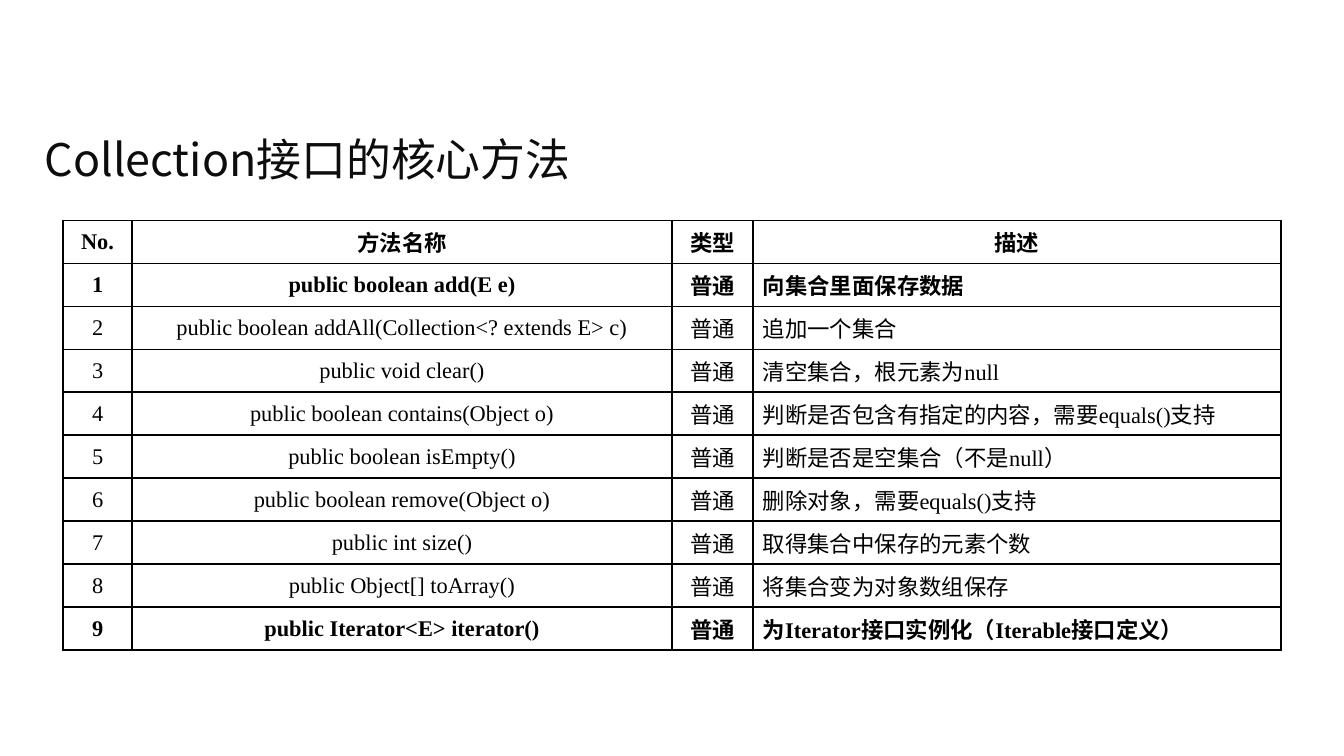
from lxml import etree
from pptx import Presentation
from pptx.dml.color import RGBColor
from pptx.enum.text import MSO_ANCHOR, PP_ALIGN
from pptx.oxml.ns import qn
from pptx.util import Pt

MIDDLE = MSO_ANCHOR.MIDDLE
CENTER = PP_ALIGN.CENTER
JUSTIFY = PP_ALIGN.JUSTIFY
CHINESE_FONT = "Noto Sans CJK SC"
BLACK = "000000"


def format_text(paragraph, size, font_name, color, bold=False):
    for run in paragraph.runs:
        run.font.size = Pt(size)
        run.font.name = font_name
        run.font.bold = bold
        run.font.color.rgb = RGBColor.from_string(color)
        etree.SubElement(run.font._element, qn("a:ea"), typeface=CHINESE_FONT)


def add_borders(cell, color, width):
    properties = cell._tc.get_or_add_tcPr()
    for side in ("lnL", "lnR", "lnT", "lnB"):
        line = etree.SubElement(properties, qn(f"a:{side}"), w=str(Pt(width)))
        fill = etree.SubElement(line, qn("a:solidFill"))
        etree.SubElement(fill, qn("a:srgbClr"), val=color)


presentation = Presentation()
presentation.slide_width = Pt(720)
presentation.slide_height = Pt(405)
slide = presentation.slides.add_slide(presentation.slide_layouts[6])

title = slide.shapes.add_textbox(Pt(16.8), Pt(62), Pt(686), Pt(46))
title.text_frame.word_wrap = True
title.text_frame.vertical_anchor = MIDDLE
title.text_frame.text = "Collection接口的核心方法"
format_text(title.text_frame.paragraphs[0], 24, CHINESE_FONT, "0D0D0D")

methods = [
    ("public boolean add(E e)", "向集合里面保存数据"),
    ("public boolean addAll(Collection<? extends E> c)", "追加一个集合"),
    ("public void clear()", "清空集合，根元素为null"),
    ("public boolean contains(Object o)", "判断是否包含有指定的内容，需要equals()支持"),
    ("public boolean isEmpty()", "判断是否是空集合（不是null）"),
    ("public boolean remove(Object o)", "删除对象，需要equals()支持"),
    ("public int size()", "取得集合中保存的元素个数"),
    ("public Object[] toArray()", "将集合变为对象数组保存"),
    ("public Iterator<E> iterator()", "为Iterator接口实例化（Iterable接口定义）"),
]
rows = [("No.", "方法名称", "类型", "描述")]
for number, (method, description) in enumerate(methods, 1):
    rows.append((str(number), method, "普通", description))

column_widths = [37, 289.3, 43.2, 283]
row_height = 23.04
bold_rows = (0, 1, 9)

table = slide.shapes.add_table(
    len(rows), len(column_widths), Pt(33.8), Pt(118.1),
    Pt(sum(column_widths)), Pt(row_height * len(rows)),
).table
table.first_row = False
table.horz_banding = False
for column, width in zip(table.columns, column_widths):
    column.width = Pt(width)

for row_index, texts in enumerate(rows):
    table.rows[row_index].height = Pt(row_height)
    for column_index, text in enumerate(texts):
        cell = table.cell(row_index, column_index)
        cell.vertical_anchor = MIDDLE
        cell.margin_left = cell.margin_right = Pt(5.4)
        cell.margin_top = cell.margin_bottom = Pt(0)
        add_borders(cell, BLACK, 1)
        cell.fill.background()
        cell.text_frame.text = text
        paragraph = cell.text_frame.paragraphs[0]
        is_description = row_index > 0 and column_index == 3
        paragraph.alignment = JUSTIFY if is_description else CENTER
        format_text(paragraph, 12, "Times New Roman", BLACK, row_index in bold_rows)

presentation.save("out.pptx")
